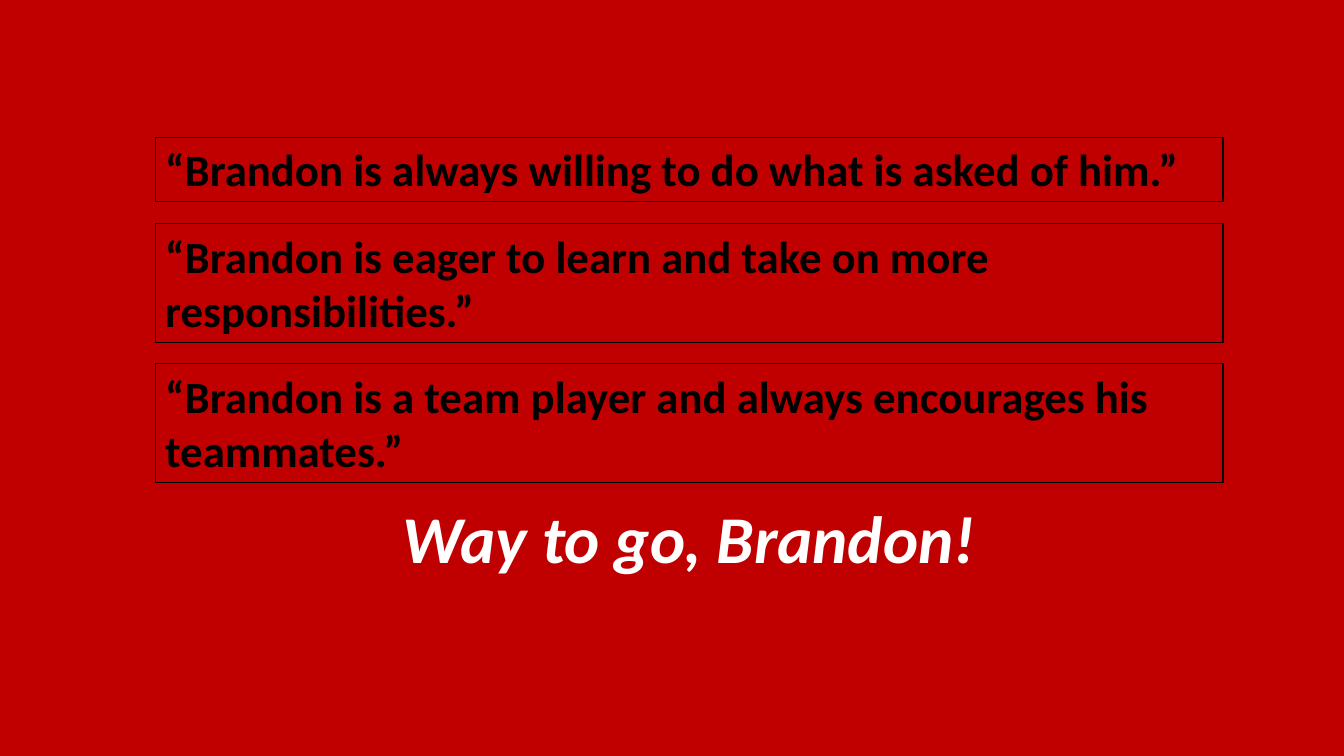
from pptx import Presentation
from pptx.dml.color import RGBColor
from pptx.enum.shapes import MSO_SHAPE as Shape
from pptx.enum.text import MSO_ANCHOR as Anchor, MSO_AUTO_SIZE as Fit, PP_ALIGN as Align
from pptx.util import Inches, Pt

RED = RGBColor(0xC0, 0x00, 0x00)
BLACK = RGBColor(0x00, 0x00, 0x00)
WHITE = RGBColor(0xFF, 0xFF, 0xFF)

LEFT, WIDTH = 1.54, 10.59
QUOTES = [
    (1.36, 0.64, "“Brandon is always willing to do what is asked of him.”"),
    (2.22, 1.18, "“Brandon is eager to learn and take on more responsibilities.”"),
    (3.61, 1.18, "“Brandon is a team player and always encourages his teammates.”"),
]


def write(shape, text, size, color):
    """Put one bold Calibri paragraph in a shape and return it."""
    frame = shape.text_frame
    frame.word_wrap = True
    frame.text = text
    para = frame.paragraphs[0]
    font = para.runs[0].font
    font.name = "Calibri"
    font.size = Pt(size)
    font.bold = True
    font.color.rgb = color
    return para


def add_quote(slide, top, height, text):
    """Add an outlined quote box."""
    box = slide.shapes.add_textbox(
        Inches(LEFT), Inches(top), Inches(WIDTH), Inches(height))
    box.line.color.rgb = BLACK
    box.line.width = Pt(0.75)
    write(box, text, 32, BLACK)
    box.text_frame.auto_size = Fit.SHAPE_TO_FIT_TEXT


def add_cheer(slide, top, height, text):
    """Add the rounded closing line."""
    cheer = slide.shapes.add_shape(
        Shape.ROUNDED_RECTANGLE,
        Inches(LEFT), Inches(top), Inches(WIDTH), Inches(height))
    cheer.shadow.inherit = False
    cheer.fill.solid()
    cheer.fill.fore_color.rgb = RED
    cheer.line.fill.background()
    para = write(cheer, text, 47.7, WHITE)
    para.alignment = Align.CENTER
    para.line_spacing = 0.9
    para.runs[0].font.italic = True
    cheer.text_frame.vertical_anchor = Anchor.MIDDLE


def main():
    """Build and save the praise slide."""
    deck = Presentation()
    deck.slide_width = Inches(13.33)
    deck.slide_height = Inches(7.5)
    slide = deck.slides.add_slide(deck.slide_layouts[6])
    slide.background.fill.solid()
    slide.background.fill.fore_color.rgb = RED
    for top, height, text in QUOTES:
        add_quote(slide, top, height, text)
    add_cheer(slide, 4.95, 0.85, "Way to go, Brandon!")
    deck.save("out.pptx")


if __name__ == "__main__":
    main()
